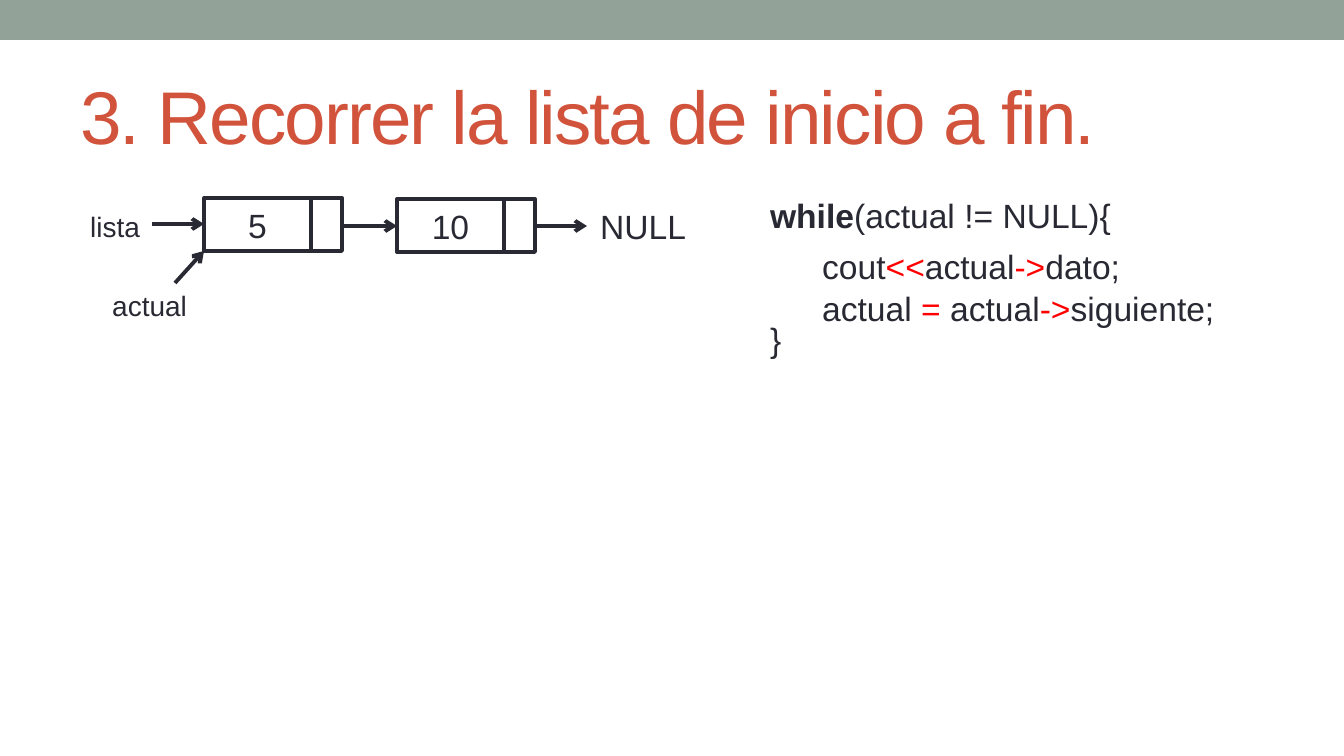
"""Builds a slide about walking through a linked list from start to end."""
import lxml.etree
import pptx
import pptx.dml.color
import pptx.enum.shapes
import pptx.enum.text
import pptx.oxml.ns
import pptx.util

INK = pptx.dml.color.RGBColor(0x29, 0x29, 0x34)
RUST = pptx.dml.color.RGBColor(0xD2, 0x53, 0x3C)
RED = pptx.dml.color.RGBColor(0xFF, 0x00, 0x00)
SAGE = pptx.dml.color.RGBColor(0x93, 0xA2, 0x99)
WHITE = pptx.dml.color.RGBColor(0xFF, 0xFF, 0xFF)
ALIGN = pptx.enum.text.PP_ALIGN
ANCHOR = pptx.enum.text.MSO_ANCHOR


def px(length):
    return round(length * 914400 / 134.4)


def add_run(paragraph, text, size=18, color=INK, bold=False, tracking=0):
    run = paragraph.add_run()
    run.text = text
    run.font.name = "Arial"
    run.font.size = pptx.util.Pt(size)
    run.font.color.rgb = color
    run.font.bold = bold
    if tracking:
        run._r.get_or_add_rPr().set("spc", str(tracking * 100))


class ListSlide:
    line_width = pptx.util.Pt(2.08)
    line_ratio = 1.22
    node_width, node_height, value_width = 138, 53, 107

    def __init__(self, slide):
        self.shapes = slide.shapes

    def rectangle(self, left, top, width, height, fill, outline=None):
        box = self.shapes.add_shape(
            pptx.enum.shapes.MSO_SHAPE.RECTANGLE,
            px(left), px(top), px(width), px(height))
        box.shadow.inherit = False
        box.fill.solid()
        box.fill.fore_color.rgb = fill
        if outline is None:
            box.line.fill.background()
        else:
            box.line.color.rgb = outline
            box.line.width = self.line_width

    def line(self, start, end, arrow=False):
        connector = self.shapes.add_connector(
            pptx.enum.shapes.MSO_CONNECTOR.STRAIGHT,
            *map(px, start + end))
        connector.line.color.rgb = INK
        connector.line.width = self.line_width
        properties = connector._element.spPr
        qn = pptx.oxml.ns.qn
        if arrow:
            lxml.etree.SubElement(
                properties.get_or_add_ln(), qn("a:tailEnd"), type="arrow")
        lxml.etree.SubElement(properties, qn("a:effectLst"))

    def text(self, left, top, width, height, *lines, align=ALIGN.LEFT,
             anchor=ANCHOR.TOP, size=18, last_gap=0, **style):
        frame = self.shapes.add_textbox(
            px(left), px(top), px(width), px(height)).text_frame
        frame.word_wrap = True
        frame.vertical_anchor = anchor
        for index, runs in enumerate(lines):
            paragraph = frame.add_paragraph() if index else frame.paragraphs[0]
            paragraph.alignment = align
            paragraph.line_spacing = pptx.util.Pt(round(size * self.line_ratio))
            for words, accent in runs:
                add_run(paragraph, words, size=size, **{**style, **accent})
        if last_gap:
            frame.paragraphs[-1].space_before = pptx.util.Pt(last_gap)

    def label(self, left, top, width, height, words, **style):
        self.text(left, top, width, height, [(words, {})], **style)

    def node(self, left, top, value):
        self.rectangle(left, top, self.node_width, self.node_height, WHITE, INK)
        divider = left + self.value_width
        self.line((divider, top), (divider, top + self.node_height))
        self.label(left, top, self.value_width, self.node_height, value,
                   align=ALIGN.CENTER)


def main():
    deck = pptx.Presentation()
    deck.slide_width, deck.slide_height = px(1344), px(756)
    page = ListSlide(deck.slides.add_slide(deck.slide_layouts[6]))

    page.rectangle(0, 0, 1344, 40, SAGE)
    page.label(67, 59, 1210, 109, "3. Recorrer la lista de inicio a fin.",
               size=40, color=RUST, tracking=-1, anchor=ANCHOR.MIDDLE)

    for left, top, value in ((204, 198, "5"), (397, 199, "10")):
        page.node(left, top, value)
    for start, end in (((152, 224), (204, 224)),
                       ((343, 226), (397, 226)),
                       ((535, 226), (587, 226)),
                       ((175, 283), (204, 251))):
        page.line(start, end, arrow=True)
    page.label(77, 203, 98, 47, "lista", size=15)
    page.label(99, 282, 117, 47, "actual", size=15)
    page.label(587, 199, 117, 53, "NULL")

    operator = {"color": RED}
    page.text(757, 188, 445, 176,
              [("while", {"bold": True}), ("(actual != NULL){", {})],
              [("}", {})], last_gap=44)
    page.text(809, 239, 434, 95,
              [("cout", {}), ("<<", operator), ("actual", {}),
               ("->", operator), ("dato;", {})],
              [("actual ", {}), ("=", operator), (" actual", {}),
               ("->", operator), ("siguiente;", {})])
    deck.save("out.pptx")


if __name__ == "__main__":
    main()
